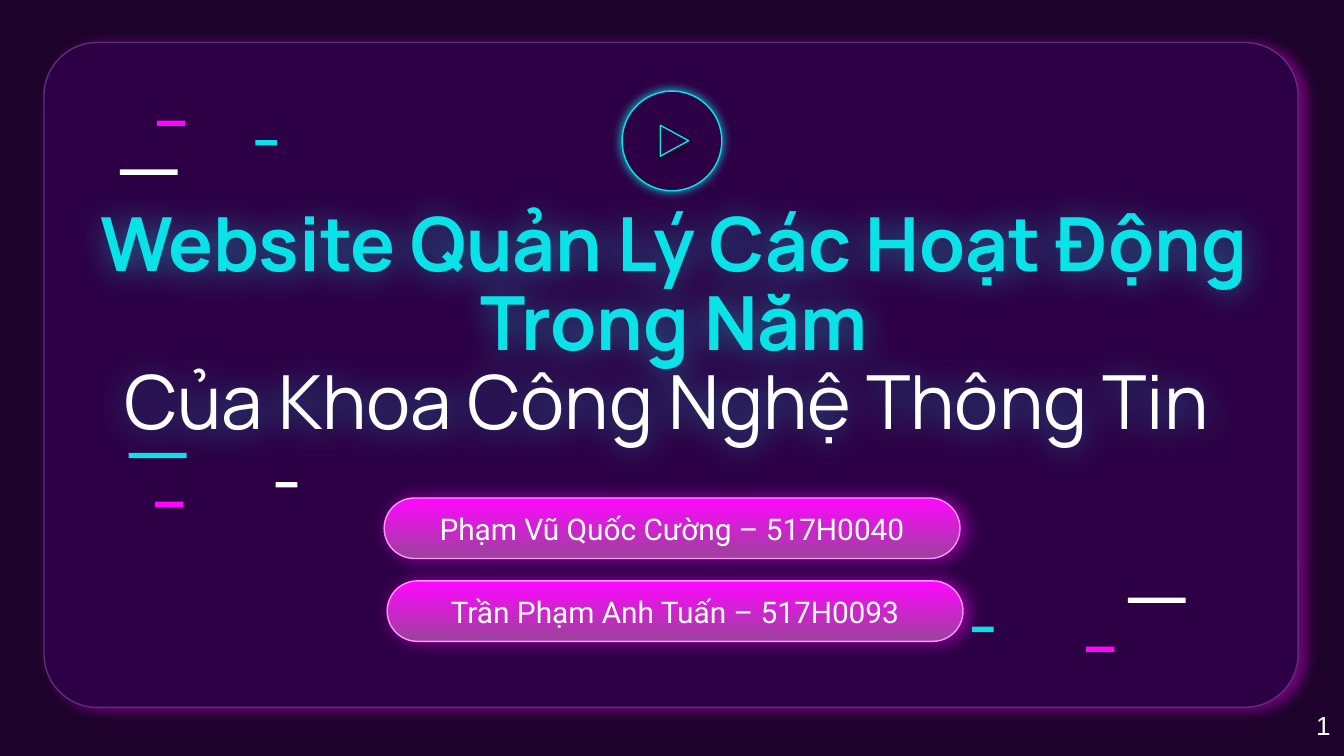
from dataclasses import dataclass

from lxml.etree import SubElement
from pptx import Presentation
from pptx.dml.color import RGBColor
from pptx.enum.shapes import MSO_SHAPE as Shape
from pptx.enum.text import MSO_ANCHOR as Anchor, MSO_AUTO_SIZE as AutoSize, PP_ALIGN as Align
from pptx.oxml.ns import qn
from pptx.util import Pt


@dataclass(frozen=True)
class Theme:
    backdrop: str = "1D032B"
    card: str = "2D0045"
    card_edge: str = "5F2E79"
    cyan: str = "09E3E8"
    pink: str = "FF07FF"
    pill_end: str = "9B429B"
    pill_edge: str = "FF94FF"
    white: str = "FFFFFF"
    black: str = "000000"
    title_size: int = 40
    name_size: int = 16
    number_size: int = 14
    title_font: str = "Manrope"
    name_font: str = "Roboto"
    number_font: str = "Arial"
    edge_width: float = 0.75


def rgb(colour):
    return RGBColor.from_string(colour)


class SlideBuilder:
    def __init__(self, slide, theme):
        self.slide = slide
        self.theme = theme

    def background(self, colour):
        fill = self.slide.background.fill
        fill.solid()
        fill.fore_color.rgb = rgb(colour)

    def shadow(self, shape, colour, alpha, blur, distance=0, angle=0):
        """Replace the theme shadow; alpha in percent, angle in degrees clockwise."""
        shape.shadow.inherit = False
        effects = shape.element.spPr.find(qn("a:effectLst"))
        outer = SubElement(effects, qn("a:outerShdw"), blurRad=str(Pt(blur)),
                           dist=str(Pt(distance)), dir=str(angle * 60000),
                           algn="bl", rotWithShape="0")
        tint = SubElement(outer, qn("a:srgbClr"), val=colour)
        SubElement(tint, qn("a:alpha"), val=str(alpha * 1000))

    def shape(self, kind, box, fill, edge=None, shadow=None):
        """Draw a preset shape; a pair of colours as fill gives a top-down gradient."""
        shape = self.slide.shapes.add_shape(kind, *map(Pt, box))
        shape.shadow.inherit = False
        if isinstance(fill, tuple):
            shape.fill.gradient()
            shape.fill.gradient_angle = 270
            for stop, colour in zip(shape.fill.gradient_stops, fill):
                stop.color.rgb = rgb(colour)
        else:
            shape.fill.solid()
            shape.fill.fore_color.rgb = rgb(fill)
        if edge:
            shape.line.color.rgb = rgb(edge)
            shape.line.width = Pt(self.theme.edge_width)
        else:
            shape.line.fill.background()
        if shadow:
            self.shadow(shape, *shadow)
        return shape

    def set_text(self, paragraph, text, font, size, colour, align, bold=False):
        paragraph.text = text
        paragraph.alignment = align
        for run in paragraph.runs:
            run.font.name = font
            run.font.size = Pt(size)
            run.font.color.rgb = rgb(colour)
            run.font.bold = bold

    def frame(self, shape, anchor, inset):
        frame = shape.text_frame
        frame.word_wrap = True
        frame.auto_size = AutoSize.NONE
        frame.vertical_anchor = anchor
        frame.margin_left = frame.margin_right = Pt(7.2)
        frame.margin_top = frame.margin_bottom = Pt(inset)
        return frame

    def title(self, box, lines):
        """Fill the title placeholder with (text, colour, bold) lines, above the card."""
        title = self.slide.shapes.title
        title.element.getparent().append(title.element)
        title.left, title.top, title.width, title.height = map(Pt, box)
        self.shadow(title, self.theme.cyan, 50, 18, 1.5, 90)
        frame = self.frame(title, Anchor.MIDDLE, 7.2)
        for index, (text, colour, bold) in enumerate(lines):
            paragraph = frame.add_paragraph() if index else frame.paragraphs[0]
            self.set_text(paragraph, text, self.theme.title_font, self.theme.title_size,
                          colour, Align.CENTER, bold)
            paragraph.line_spacing = 0.88
            paragraph.space_before = Pt(0)

    def name_pill(self, left, top, name):
        theme = self.theme
        pill = self.shape(Shape.ROUNDED_RECTANGLE, (left, top, 308.5, 32.4),
                          (theme.pink, theme.pill_end), theme.pill_edge,
                          (theme.pink, 50, 9, 2.2))
        pill.adjustments[0] = 0.5
        frame = self.frame(pill, Anchor.MIDDLE, 7.2)
        self.set_text(frame.paragraphs[0], name, theme.name_font, theme.name_size,
                      theme.white, Align.CENTER)

    def page_number(self, box, number):
        number_box = self.slide.shapes.add_textbox(*map(Pt, box))
        frame = self.frame(number_box, Anchor.TOP, 3.6)
        self.set_text(frame.paragraphs[0], number, self.theme.number_font,
                      self.theme.number_size, self.theme.white, Align.RIGHT)


def main():
    theme = Theme()
    deck = Presentation()
    deck.slide_width, deck.slide_height = Pt(720), Pt(405)
    slide = deck.slides.add_slide(deck.slide_layouts[0])
    subtitle = slide.placeholders[1].element
    subtitle.getparent().remove(subtitle)

    cover = SlideBuilder(slide, theme)
    cover.background(theme.backdrop)
    card = cover.shape(Shape.ROUNDED_RECTANGLE, (23.6, 22.8, 671.8, 356.2), theme.card,
                       theme.card_edge, (theme.pink, 36, 6.8, 3.8, 19))
    card.adjustments[0] = 0.08

    long, medium, short = 31, 15.2, 11.6
    dashes = [
        (64.2, 90.8, long, theme.white),
        (84.1, 64.6, medium, theme.pink),
        (136.8, 75.1, short, theme.cyan),
        (69, 242.6, long, theme.cyan),
        (83, 268.8, medium, theme.pink),
        (147.7, 258.3, short, theme.white),
        (604.2, 320.2, long, theme.white),
        (581.8, 346.4, medium, theme.pink),
        (520.7, 335.8, short, theme.cyan),
    ]
    for left, top, length, colour in dashes:
        cover.shape(Shape.RECTANGLE, (left, top, length, 2.9), colour)

    cover.title((25.9, 89.3, 670.3, 171.4), [
        ("Website Quản Lý Các Hoạt Động Trong Năm", theme.cyan, True),
        ("Của Khoa Công Nghệ Thông Tin ", theme.white, False),
    ])

    cover.shape(Shape.OVAL, (333.3, 48.8, 53.4, 53.4), theme.card, theme.cyan,
                (theme.cyan, 90, 5.6))
    play = cover.shape(Shape.ISOSCELES_TRIANGLE, (353, 67.8, 16.6, 15.2), theme.card,
                       theme.cyan, (theme.black, 50, 4.5, 1.5, 90))
    play.rotation = 90

    cover.name_pill(207.4, 311.2, "Trần Phạm Anh Tuấn – 517H0093")
    cover.name_pill(205.8, 266.8, "Phạm Vũ Quốc Cường – 517H0040")
    cover.page_number((504, 376.6, 216, 28.4), "1")
    deck.save("out.pptx")


if __name__ == "__main__":
    main()
